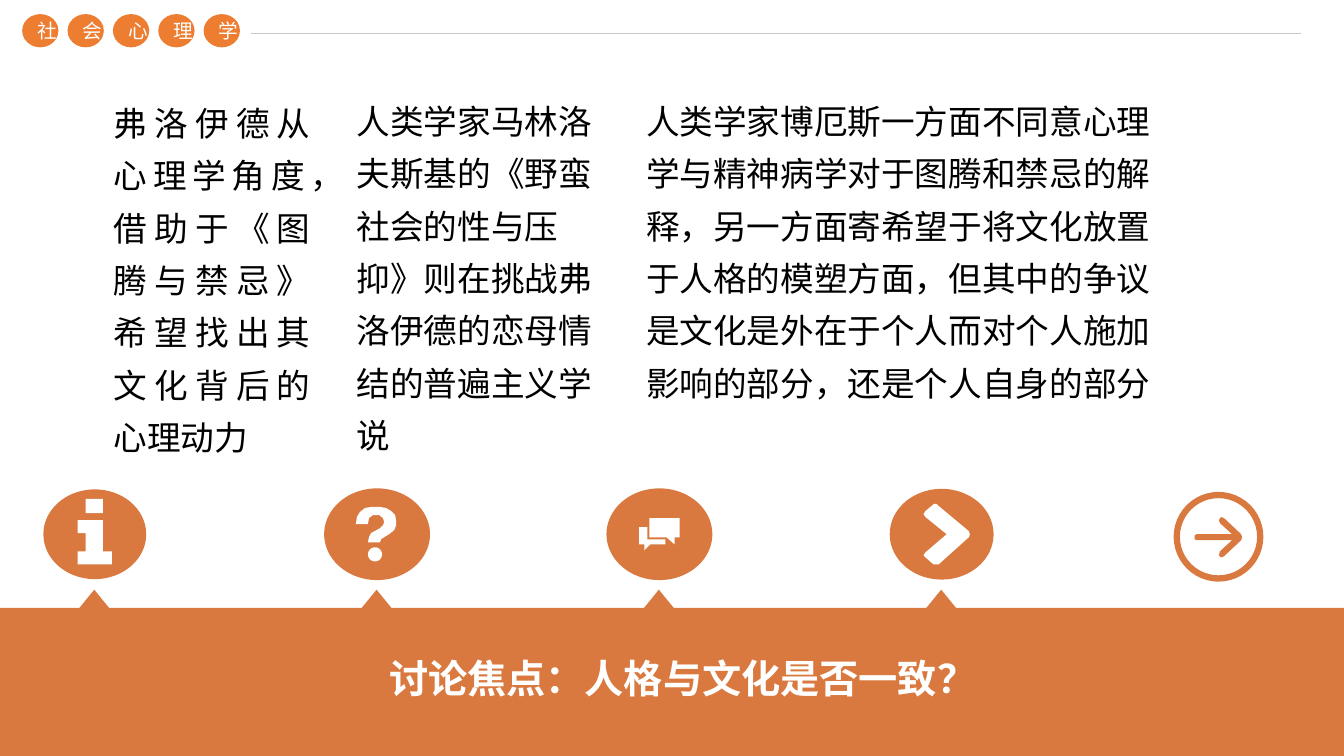
import math
from dataclasses import dataclass

from lxml import etree
from pptx import Presentation
from pptx import util as u
from pptx.dml.color import RGBColor
from pptx.enum import shapes, text
from pptx.oxml.ns import qn

Inches = u.Inches


@dataclass(frozen=True)
class Theme:
    font: str = "Noto Sans CJK SC"
    badge: str = "ED7D31"
    accent: str = "D9793F"
    rule: str = "C9C9C9"
    white: str = "FFFFFF"
    black: str = "000000"
    badge_size: int = 14
    body_size: int = 24
    focus_size: int = 28


THEME = Theme()
COURSE = "社会心理学"
COLUMNS = [
    (1.03, 0.85, 2.15, 3.78, text.PP_ALIGN.JUSTIFY,
     "弗洛伊德从心理学角度，借助于《图腾与禁忌》希望找出其文化背后的心理动力"),
    (3.44, 0.83, 2.56, 3.25, None,
     "人类学家马林洛夫斯基的《野蛮社会的性与压抑》则在挑战弗洛伊德的恋母情结的普遍主义学说"),
    (6.31, 0.83, 5.35, 3.25, None,
     "人类学家博厄斯一方面不同意心理学与精神病学对于图腾和禁忌的解释，"
     "另一方面寄希望于将文化放置于人格的模塑方面，但其中的争议是文化是外在于个人而对个人施加影响的部分，"
     "还是个人自身的部分"),
]
FOCUS = "讨论焦点：人格与文化是否一致？"

ICON_LEFT, ICON_PITCH, ICON_MIDDLE = 0.94, 2.8, 5.3


def circle(x, y, radius, steps=24):
    angles = [2 * math.pi * step / steps for step in range(steps)]
    return [(x + radius * math.cos(a), y + radius * math.sin(a)) for a in angles]


# Symbol outlines, in inches from the middle of their disc
INFO = [
    [(-.09, -.35), (.08, -.35), (.08, -.21), (-.09, -.21)],
    [(-.17, -.14), (.08, -.14), (.08, .17), (.17, .17), (.17, .3), (-.17, .3),
     (-.17, .17), (-.09, .17), (-.09, -.01), (-.17, -.01)],
]
QUESTION = [
    [(-.21, -.1), (-.2, -.17), (-.17, -.22), (-.12, -.26), (-.06, -.27), (.03, -.27),
     (.09, -.26), (.14, -.23), (.18, -.19), (.19, -.13), (.19, -.09), (.17, -.04),
     (.12, 0), (.07, .03), (.04, .05), (.03, .08), (-.09, .08), (-.08, .03),
     (-.06, -.01), (.03, -.06), (.06, -.09), (.07, -.12), (.06, -.16), (.02, -.19),
     (-.04, -.19), (-.08, -.16), (-.09, -.1)],
    circle(-.02, .2, .07),
]
CHAT = [
    [(-.2, -.07), (-.12, -.07), (-.12, .05), (.06, .05), (.06, .1), (-.09, .1),
     (-.15, .16), (-.15, .1), (-.2, .1)],
    [(-.1, -.16), (.2, -.16), (.2, .03), (.15, .03), (.15, .1), (.07, .03), (-.1, .03)],
]
CHEVRON = [
    [(-.05, -.3), (-.03, -.28), (.27, -.03), (.28, 0), (.27, .03), (-.03, .3), (-.08, .3),
     (-.16, .23), (-.18, .21), (-.16, .18), (.05, 0), (-.16, -.17), (-.18, -.2),
     (-.16, -.23), (-.1, -.28), (-.08, -.3)],
]
ARROW = [
    [(-.23, -.02), (-.21, -.03), (.14, -.03), (.02, -.14), (.01, -.17), (.03, -.2),
     (.06, -.19), (.23, -.03), (.24, 0), (.23, .03), (.06, .19), (.03, .2),
     (.01, .18), (.02, .14), (.14, .03), (-.21, .03), (-.23, .02)],
]
ICONS = [(INFO, 1.02, 0.89), (QUESTION, 1.05, 0.91), (CHAT, 1.05, 0.91), (CHEVRON, 1.03, 0.9)]


def paint(shape, color):
    shape.shadow.inherit = False
    shape.fill.solid()
    shape.fill.fore_color.rgb = RGBColor.from_string(color)
    shape.line.fill.background()
    return shape


def add_preset(parent, kind, left, top, width, height, color):
    box = [Inches(value) for value in (left, top, width, height)]
    return paint(parent.shapes.add_shape(kind, *box), color)


def add_symbol(parent, outlines, x, y, color):
    builder = None
    for outline in outlines:
        points = [(Inches(x + dx), Inches(y + dy)) for dx, dy in outline]
        if builder is None:
            builder = parent.shapes.build_freeform(*points[0])
        else:
            builder.move_to(*points[0])
        builder.add_line_segments(points[1:], close=True)
    return paint(builder.convert_to_shape(), color)


def write_text(shape, words, *, size, color, bold=False, align=None, spacing=None):
    paragraph = shape.text_frame.paragraphs[0]
    paragraph.alignment = align
    paragraph.line_spacing = spacing
    run = paragraph.add_run()
    run.text = words
    run.font.size = u.Pt(size)
    run.font.bold = bold
    run.font.name = THEME.font
    run.font.color.rgb = RGBColor.from_string(color)
    east_asian = etree.SubElement(run.font._element, qn("a:ea"))
    east_asian.set("typeface", THEME.font)


def add_text(slide, words, left, top, width, height, wrap=True, **style):
    shape = slide.shapes.add_textbox(*[Inches(v) for v in (left, top, width, height)])
    shape.text_frame.word_wrap = wrap
    shape.text_frame.auto_size = text.MSO_AUTO_SIZE.SHAPE_TO_FIT_TEXT
    write_text(shape, words, spacing=1.3, **style)


def add_header(slide):
    line = slide.shapes.add_connector(
        shapes.MSO_CONNECTOR.STRAIGHT, Inches(2.49), Inches(0.33), Inches(12.9), Inches(0.33))
    line.line.color.rgb = RGBColor.from_string(THEME.rule)
    line.line.width = u.Pt(1)
    etree.SubElement(line._element.spPr, qn("a:effectLst"))
    badges = slide.shapes.add_group_shape()
    for index, character in enumerate(COURSE):
        badge = add_preset(badges, shapes.MSO_SHAPE.OVAL,
                           0.22 + 0.45 * index, 0.14, 0.36, 0.33, THEME.badge)
        badge.text_frame.vertical_anchor = text.MSO_ANCHOR.MIDDLE
        write_text(badge, character, size=THEME.badge_size, color=THEME.white,
                   align=text.PP_ALIGN.CENTER)


def add_icon(slide, center, symbol, width, height):
    group = slide.shapes.add_group_shape()
    add_preset(group, shapes.MSO_SHAPE.ISOSCELES_TRIANGLE,
               center - 0.16, 5.85, 0.31, 0.19, THEME.accent)
    add_preset(group, shapes.MSO_SHAPE.OVAL, center - width / 2,
               ICON_MIDDLE - height / 2, width, height, THEME.accent)
    add_symbol(group, symbol, center, ICON_MIDDLE, THEME.white)


def add_arrow_icon(slide):
    group = slide.shapes.add_group_shape()
    ring = add_preset(group, shapes.MSO_SHAPE.DONUT, 11.64, 4.88, 0.89, 0.89, THEME.accent)
    ring.adjustments[0] = 0.07
    add_symbol(group, ARROW, 12.08, 5.33, THEME.accent)


def main():
    presentation = Presentation()
    presentation.slide_width = Inches(13.33)
    presentation.slide_height = Inches(7.5)
    slide = presentation.slides.add_slide(presentation.slide_layouts[6])

    # Course name and rule
    add_header(slide)

    # Bottom band and the icons pointing up from it
    add_preset(slide, shapes.MSO_SHAPE.RECTANGLE, 0, 6.03, 13.33, 1.47, THEME.accent)
    for index, icon in enumerate(ICONS):
        add_icon(slide, ICON_LEFT + ICON_PITCH * index, *icon)
    add_arrow_icon(slide)

    # Three viewpoints and the question for discussion
    for left, top, width, height, align, words in COLUMNS:
        add_text(slide, words, left, top, width, height, align=align,
                 size=THEME.body_size, color=THEME.black)
    add_text(slide, FOCUS, 3.76, 6.3, 6.09, 0.65, wrap=False,
             size=THEME.focus_size, color=THEME.white, bold=True)

    presentation.save("out.pptx")


if __name__ == "__main__":
    main()
